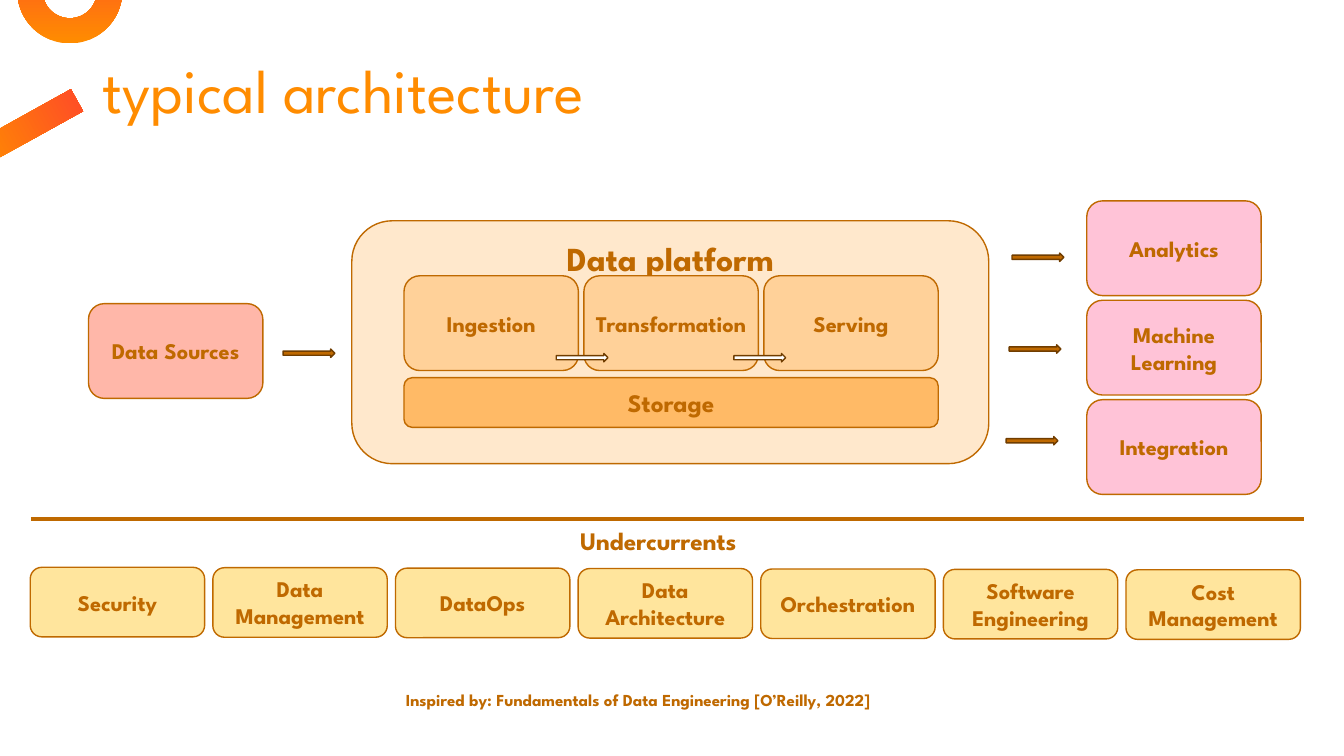
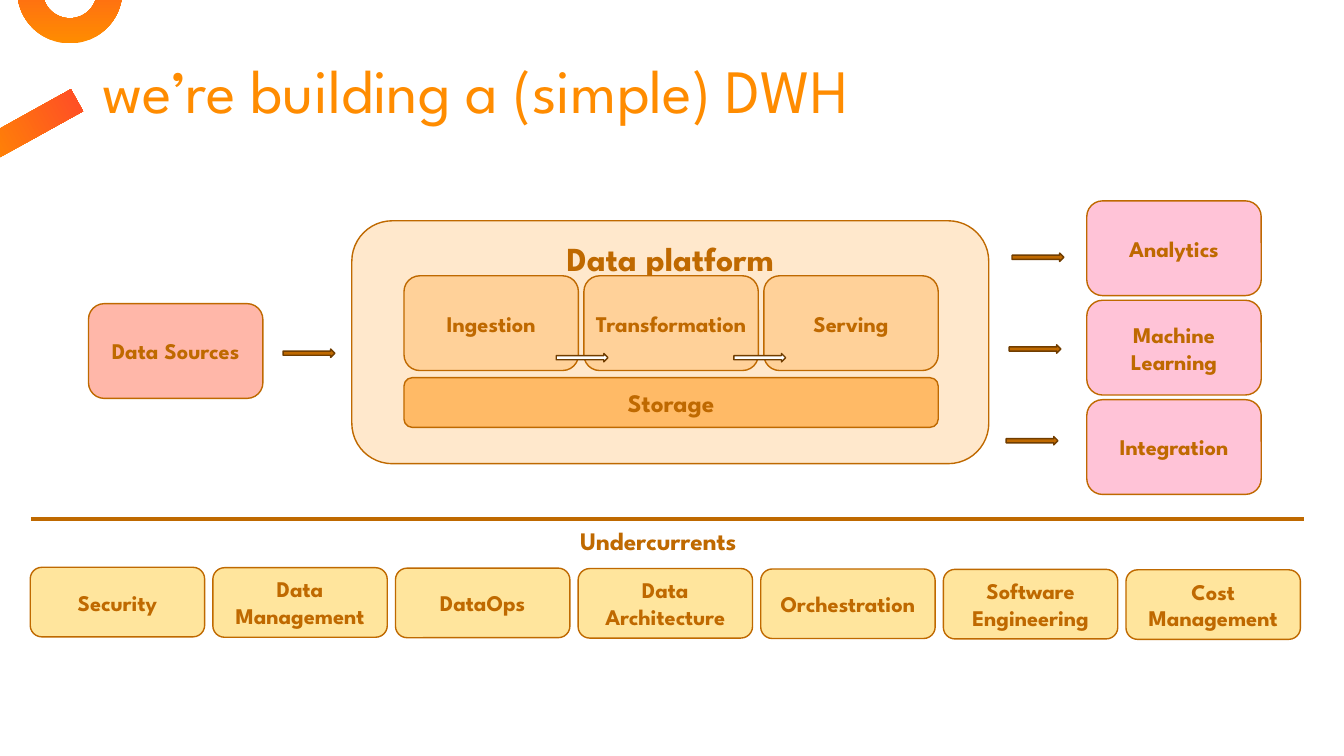
from pptx import Presentation
from pptx.dml.color import RGBColor
from pptx.enum.shapes import MSO_CONNECTOR, MSO_SHAPE
from pptx.enum.text import MSO_ANCHOR, PP_ALIGN
from pptx.oxml.ns import qn
from pptx.util import Pt
from lxml import etree

ROUNDED = MSO_SHAPE.ROUNDED_RECTANGLE
RECTANGLE = MSO_SHAPE.RECTANGLE
DONUT = MSO_SHAPE.DONUT
RIGHT_ARROW = MSO_SHAPE.RIGHT_ARROW
STRAIGHT = MSO_CONNECTOR.STRAIGHT
TOP, MIDDLE = MSO_ANCHOR.TOP, MSO_ANCHOR.MIDDLE
LEFT, CENTER = PP_ALIGN.LEFT, PP_ALIGN.CENTER

FONT = "League Spartan"
COLORS = {
    "title": "FF8C00",
    "gradient_start": "FF8C00",
    "gradient_end": "FF4B28",
    "brown": "BF6900",
    "arrow_line": "703D00",
    "white": "FFFFFF",
    "platform": "FFE8CC",
    "stage": "FFD199",
    "storage": "FFBA66",
    "source": "FFB7A9",
    "output": "FFC3D7",
    "undercurrent": "FFE59D",
}

BOX_WIDTH, BOX_HEIGHT = 124.6, 67.7
STAGES = [("Ingestion", 7.2), ("Transformation", 0), ("Serving", 7.2)]
OUTPUTS = ["Analytics", "Machine Learning", "Integration"]
UNDERCURRENTS = [
    "Security", "Data Management", "DataOps", "Data Architecture",
    "Orchestration", "Software Engineering", "Cost Management",
]
SLIDES = [
    ("typical architecture",
     "Inspired by: Fundamentals of Data Engineering [O’Reilly, 2022]"),
    ("we’re building a (simple) DWH", None),
]


def rgb(name):
    return RGBColor.from_string(COLORS[name])


def write_text(shape, text, size, color="brown", bold=True, align=LEFT,
               anchor=TOP, margin=7.2, line_spacing=None):
    frame = shape.text_frame
    frame.word_wrap = True
    frame.vertical_anchor = anchor
    frame.margin_left = frame.margin_right = Pt(margin)
    paragraph = frame.paragraphs[0]
    paragraph.alignment = align
    if line_spacing:
        paragraph.line_spacing = line_spacing
    run = paragraph.add_run()
    run.text = text
    run.font.name = FONT
    run.font.size = Pt(size)
    run.font.bold = bold
    run.font.color.rgb = rgb(color)


def add_shape(slide, kind, left, top, width, height):
    shape = slide.shapes.add_shape(kind, Pt(left), Pt(top), Pt(width), Pt(height))
    shape.shadow.inherit = False
    return shape


def add_filled(slide, kind, left, top, width, height, fill, line):
    shape = add_shape(slide, kind, left, top, width, height)
    shape.fill.solid()
    shape.fill.fore_color.rgb = rgb(fill)
    shape.line.color.rgb = rgb(line)
    shape.line.width = Pt(1)
    return shape


def add_box(slide, text, left, top, fill, width=BOX_WIDTH, height=BOX_HEIGHT,
            size=16, anchor=MIDDLE, margin=7.2):
    shape = add_filled(slide, ROUNDED, left, top, width, height, fill, "brown")
    write_text(shape, text, size, align=CENTER, anchor=anchor, margin=margin)


def add_arrow(slide, left, top, fill="brown"):
    add_filled(slide, RIGHT_ARROW, left, top, 37, 6, fill, "arrow_line")


def add_label(slide, text, left, top, width, height, size, **style):
    label = slide.shapes.add_textbox(Pt(left), Pt(top), Pt(width), Pt(height))
    write_text(label, text, size, **style)


def add_ornament(slide, kind, left, top, width, height):
    shape = add_shape(slide, kind, left, top, width, height)
    shape.fill.gradient()
    shape.fill.gradient_angle = 90
    stops = shape.fill.gradient_stops
    for stop, position, name in zip(stops, (0, 1), ("gradient_start", "gradient_end")):
        stop.position = position
        stop.color.rgb = rgb(name)
    shape.line.fill.background()
    return shape


def add_divider(slide, left, right, top):
    line = slide.shapes.add_connector(STRAIGHT, Pt(left), Pt(top), Pt(right), Pt(top))
    line.line.color.rgb = rgb("brown")
    line.line.width = Pt(3)
    etree.SubElement(line.element.spPr, qn("a:effectLst"))


def add_header(slide, title):
    ring = add_ornament(slide, DONUT, 12.4, -44, 75, 75)
    ring.adjustments[0] = 0.24
    bar = add_ornament(slide, RECTANGLE, 12.3, 51.8, 18, 77)
    bar.rotation = 61
    add_label(slide, title, 66.2, 39.6, 741.6, 75.6, 44,
              color="title", bold=False, line_spacing=0.9)


def add_platform(slide):
    add_box(slide, "Data platform", 251.3, 157.7, "platform", 455, 173.5,
            size=24, anchor=TOP)
    for index, (stage, margin) in enumerate(STAGES):
        add_box(slide, stage, 288.6 + index * 128.5, 197, "stage", margin=margin)
    add_box(slide, "Storage", 288.6, 269.8, "storage", 381.6, 35.5, size=18)
    add_box(slide, "Data Sources", 63.2, 216.9, "source")
    for left in (397.3, 524.2):
        add_arrow(slide, left, 252.5, "white")
    add_arrow(slide, 202.2, 249.3)


def add_outputs(slide):
    for index, output in enumerate(OUTPUTS):
        add_arrow(slide, 722.9 - index * 2.1, 180.8 + index * 65.5)
        add_box(slide, output, 776.3, 143.5 + index * 71, "output")


def add_undercurrents(slide):
    add_divider(slide, 22, 931.5, 370.7)
    add_label(slide, "Undercurrents", 407.3, 371.8, 138, 28.8, 18)
    for index, undercurrent in enumerate(UNDERCURRENTS):
        add_box(slide, undercurrent, 21.6 + index * 130.45, 405.2 + index * 0.3,
                "undercurrent", height=49.7)


def main():
    presentation = Presentation()
    presentation.slide_width, presentation.slide_height = Pt(960), Pt(540)
    for title, credit in SLIDES:
        slide = presentation.slides.add_slide(presentation.slide_layouts[6])
        add_header(slide, title)
        add_platform(slide)
        add_outputs(slide)
        add_undercurrents(slide)
        if credit:
            add_label(slide, credit, 282.8, 488.8, 379.4, 21.8, 12)
    presentation.save("out.pptx")


if __name__ == "__main__":
    main()
